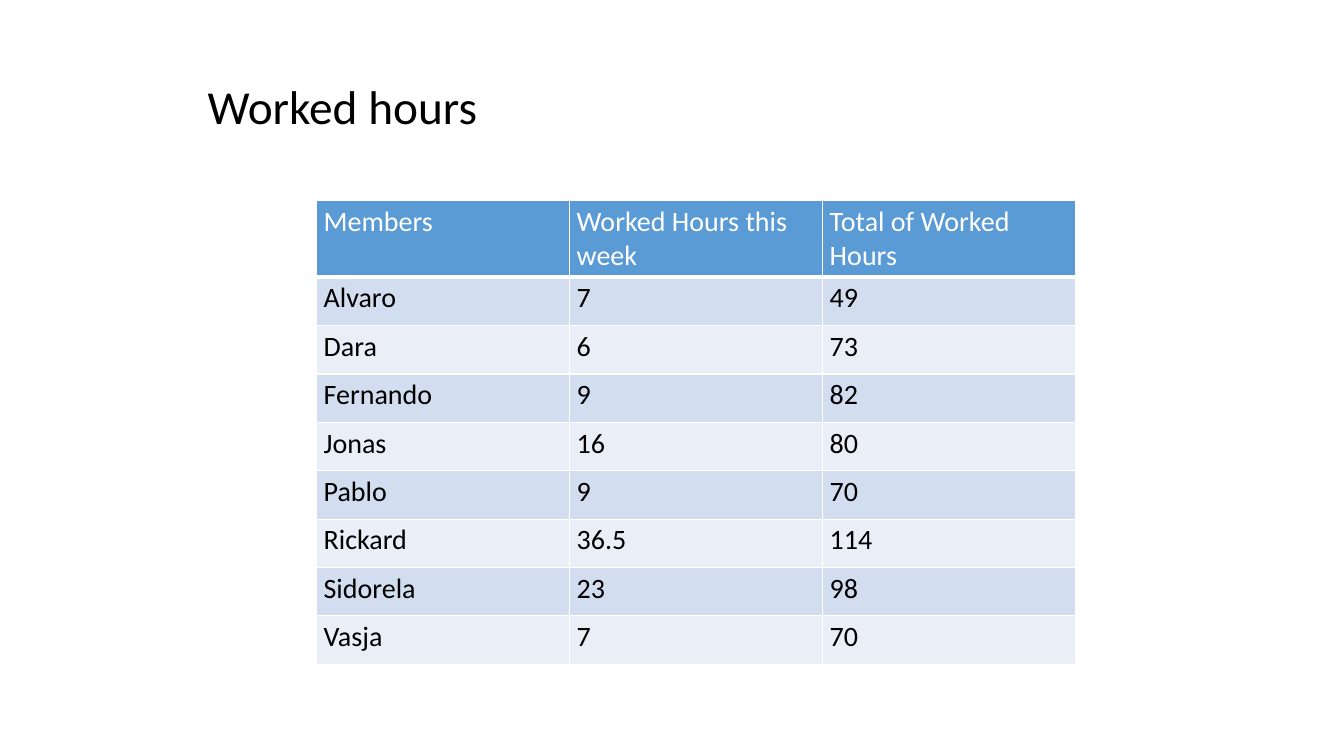
from lxml import etree
from pptx import Presentation
from pptx.dml.color import RGBColor
from pptx.enum.text import MSO_ANCHOR, PP_ALIGN
from pptx.oxml.ns import qn
from pptx.util import Inches, Pt

MIDDLE = MSO_ANCHOR.MIDDLE
LEFT = PP_ALIGN.LEFT
FONT = "Calibri"
BLACK, WHITE = "000000", "FFFFFF"
HEADER_FILL = "5B9BD5"
BAND_FILLS = ("D2DEEF", "EAEFF7")

# Content
TITLE = "Worked hours"
HEADERS = ("Members", "Worked Hours this week", "Total of Worked Hours")
MEMBER_HOURS = [
    ("Alvaro", "7", "49"),
    ("Dara", "6", "73"),
    ("Fernando", "9", "82"),
    ("Jonas", "16", "80"),
    ("Pablo", "9", "70"),
    ("Rickard", "36.5", "114"),
    ("Sidorela", "23", "98"),
    ("Vasja", "7", "70"),
]

# Layout in inches
COLUMN_WIDTH = 2.51
HEADER_HEIGHT, ROW_HEIGHT = 0.73, 0.48


def color(hex_value):
    return RGBColor.from_string(hex_value)


def format_text(paragraph, size, hex_value):
    paragraph.alignment = LEFT
    for run in paragraph.runs:
        run.font.name = FONT
        run.font.size = Pt(size)
        run.font.bold = False
        run.font.color.rgb = color(hex_value)


def add_borders(cell, bottom_width):
    properties = cell._tc.get_or_add_tcPr()
    for side, width in (("L", 1), ("R", 1), ("T", 1), ("B", bottom_width)):
        line = etree.SubElement(properties, qn(f"a:ln{side}"), w=str(Pt(width)))
        fill = etree.SubElement(line, qn("a:solidFill"))
        etree.SubElement(fill, qn("a:srgbClr"), val=WHITE)


def format_cell(cell, text, text_color, fill_color, bottom_width):
    cell.text_frame.text = text
    format_text(cell.text_frame.paragraphs[0], 20, text_color)
    cell.margin_left = cell.margin_right = Inches(0.07)
    cell.margin_top = cell.margin_bottom = Inches(0.04)
    add_borders(cell, bottom_width)
    cell.fill.solid()
    cell.fill.fore_color.rgb = color(fill_color)


presentation = Presentation()
presentation.slide_width = Inches(13.33)
presentation.slide_height = Inches(7.5)
slide = presentation.slides.add_slide(presentation.slide_layouts[5])

# Title
title = slide.shapes.title
title.left, title.top = Inches(1.96), Inches(0.72)
title.width, title.height = Inches(8.59), Inches(0.73)
title.text_frame.text = TITLE
title.text_frame.vertical_anchor = MIDDLE
title.text_frame.paragraphs[0].line_spacing = 0.9
format_text(title.text_frame.paragraphs[0], 33.8, BLACK)

# Hours table
rows = [HEADERS] + MEMBER_HOURS
table = slide.shapes.add_table(
    len(rows), len(HEADERS), Inches(3.14), Inches(1.99),
    Inches(COLUMN_WIDTH * len(HEADERS)),
    Inches(HEADER_HEIGHT + ROW_HEIGHT * len(MEMBER_HOURS))).table
for column in table.columns:
    column.width = Inches(COLUMN_WIDTH)
for row_index, values in enumerate(rows):
    is_header = row_index == 0
    table.rows[row_index].height = Inches(HEADER_HEIGHT if is_header else ROW_HEIGHT)
    text_color = WHITE if is_header else BLACK
    fill_color = HEADER_FILL if is_header else BAND_FILLS[(row_index - 1) % 2]
    for column_index, value in enumerate(values):
        format_cell(table.cell(row_index, column_index), value,
                    text_color, fill_color, 3 if is_header else 1)

presentation.save("out.pptx")
